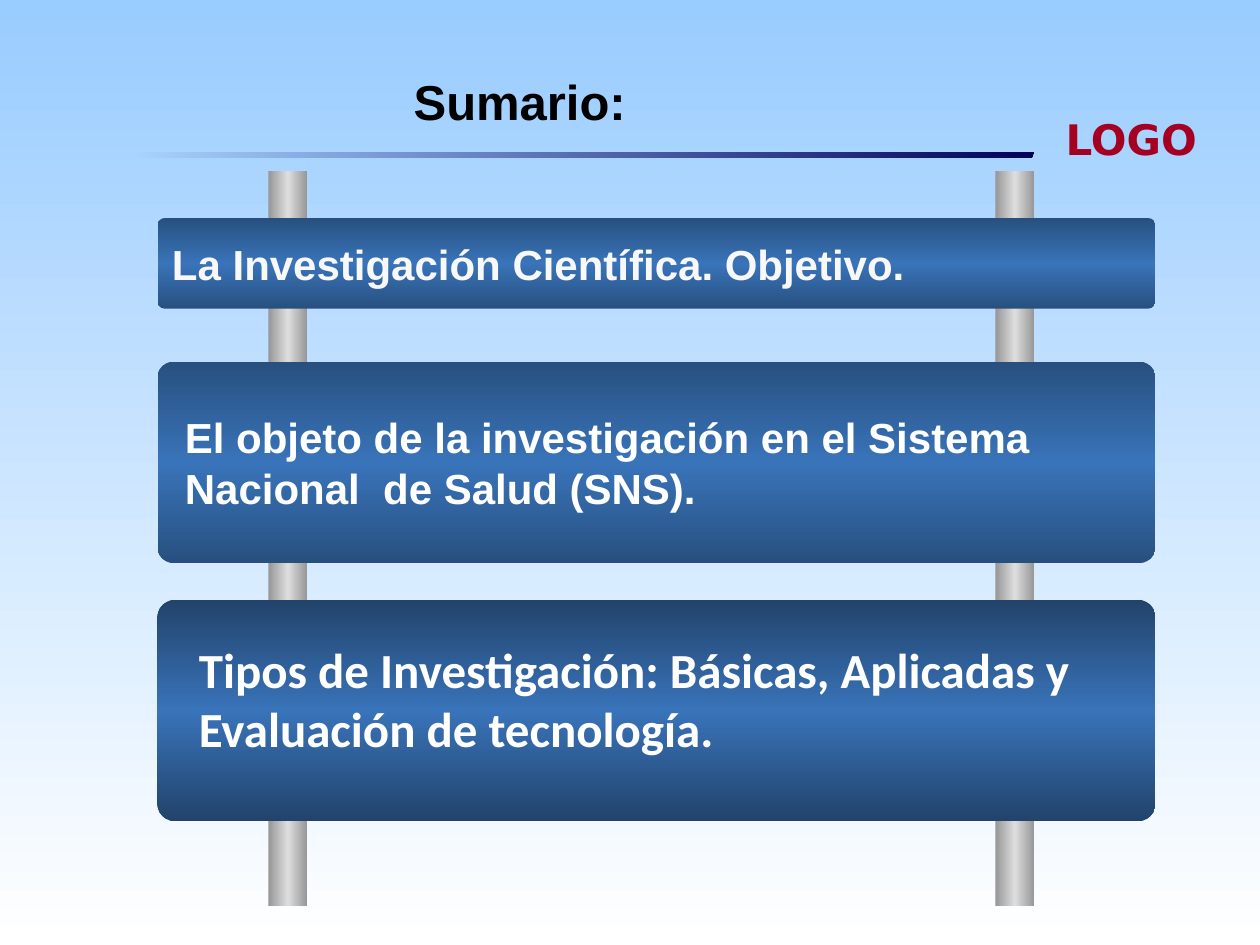
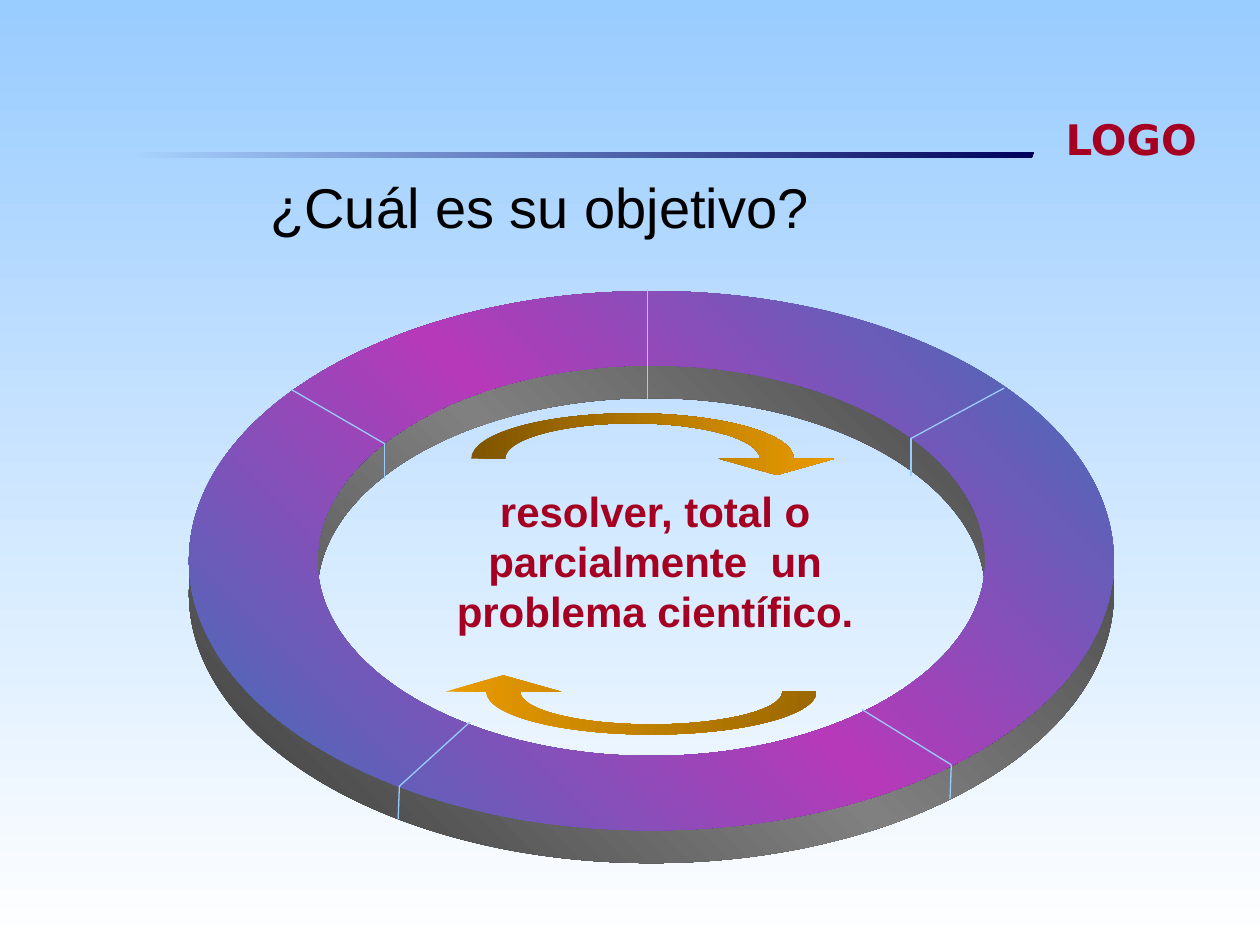
"""Build two slides: a summary on signboards and a ring around the objective."""
import math

import pptx
import pptx.dml.color
import pptx.enum.shapes
import pptx.enum.text
import pptx.oxml
import pptx.oxml.ns
import pptx.util

Inches = pptx.util.Inches
SHAPES = pptx.enum.shapes.MSO_SHAPE
ALIGN = pptx.enum.text.PP_ALIGN
ANCHOR = pptx.enum.text.MSO_ANCHOR
qn = pptx.oxml.ns.qn
DRAWING = pptx.oxml.ns.nsdecls("a")

COLORS = {
    "sky": "99CCFF", "white": "FFFFFF", "navy": "000066", "deep_navy": "00005C",
    "red": "A50021", "black": "000000", "off_white": "F8F8F8",
    "pole_edge": "969696", "pole_shine": "DEDEDE",
    "board": "3973B9", "board_edge": "27507F", "board_dark_edge": "22436B",
    "rim_dark": "3B3B3B", "rim_light": "808080", "magenta": "B639B9",
    "amber": "EA9C00", "brown": "7F5500", "ochre": "9C6800",
}

LOGO = ("LOGO", (8.36, 0.85, 1.41, 0.5))
RULE = [(8.2, 1.21), (1.05, 1.21), (1.11, 1.25), (8.18, 1.25)]

SUMMARY_TITLE = ("Sumario:", (2.29, 0.52, 3.67, 0.57))
POLE_LEFTS = [7.9, 2.13]
BOARD_LEFT, BOARD_WIDTH = 1.25, 7.92
BOARDS = [
    {"top": 1.73, "height": 0.72, "edge": "board_edge", "inset": 0.1, "color": "off_white",
     "lines": ["La Investigación Científica. Objetivo."]},
    {"top": 2.87, "height": 1.6, "edge": "board_edge", "inset": 0.18, "color": "white",
     "lines": ["El objeto de la investigación en el Sistema", "Nacional  de Salud (SNS)."]},
    {"top": 4.76, "height": 1.76, "edge": "board_dark_edge", "inset": 0.1, "color": "white",
     "lines": []},
]
TYPES = ("Tipos de Investigación: Básicas, Aplicadas y Evaluación de tecnología.",
         (1.48, 5.03, 7.4, 1.04))

GOAL_TITLE = ("¿Cuál es su objetivo?", (0.87, 1.32, 6.83, 0.64))
GOAL = ("resolver, total o parcialmente  un problema científico.", (3.17, 3.8, 4.06, 1.31))
RING_X, RING_OUTER, RING_INNER = 5.17, (3.67, 2.14), (2.65, 1.55)
RING_LAYERS = [
    (4.71, ["rim_dark", "rim_light", "rim_dark"]),
    (4.45, ["board", "magenta", "board"]),
]
SEAMS = [
    [(5.14, 3.17), (5.14, 2.29)],
    [(2.31, 3.09), (3.05, 3.52), (3.05, 3.8)],
    [(7.97, 3.08), (7.23, 3.48), (7.23, 3.78)],
    [(3.73, 5.73), (3.17, 6.24), (3.16, 6.5)],
    [(6.84, 5.63), (7.55, 6.07), (7.54, 6.34)],
]
CYCLE_ARROWS = [
    {"center": (5.02, 3.64), "outer": (1.28, 0.36), "turn": 1, "colors": ["brown", "amber"]},
    {"center": (5.17, 5.49), "outer": (1.31, 0.34), "turn": -1, "colors": ["amber", "ochre"]},
]
ARROW_BAND, ARROW_THICKNESS, HEAD_HALF, HEAD_DEPTH = 0.27, 0.08, 0.46, 0.13
QUARTER_PULL = 4 / 3 * (math.sqrt(2) - 1)


def rgb(name):
    return pptx.dml.color.RGBColor.from_string(COLORS[name])


def paint(fill, element, names, angle, fade_start=False):
    fill.gradient()
    fill.gradient_angle = (360 - angle) % 360
    stops = element.find(".//" + qn("a:gsLst"))
    for stop in list(stops):
        stops.remove(stop)
    for index, name in enumerate(names):
        position = round(100000 * index / (len(names) - 1))
        alpha = '<a:alpha val="0"/>' if fade_start and index == 0 else ""
        stops.append(pptx.oxml.parse_xml(
            f'<a:gs {DRAWING} pos="{position}">'
            f'<a:srgbClr val="{COLORS[name]}">{alpha}</a:srgbClr></a:gs>'))


def finish(shape, names, angle, fade_start=False):
    shape.shadow.inherit = False
    shape.line.fill.background()
    paint(shape.fill, shape._element, names, angle, fade_start)
    return shape


def write(frame, lines, size, color, font="Arial", bold=True, align=ALIGN.LEFT):
    frame.word_wrap = True
    for index, line in enumerate(lines):
        paragraph = frame.add_paragraph() if index else frame.paragraphs[0]
        paragraph.alignment = align
        run = paragraph.add_run()
        run.text = line
        run.font.size = pptx.util.Pt(size)
        run.font.name = font
        run.font.bold = bold
        run.font.color.rgb = rgb(color)


def add_label(slide, label, size, color, **style):
    text, place = label
    box = slide.shapes.add_textbox(*map(Inches, place))
    write(box.text_frame, [text], size, color, **style)


def add_block(slide, kind, place, names, angle):
    return finish(slide.shapes.add_shape(kind, *map(Inches, place)), names, angle)


def bend(outline, segments):
    """Turn each three-point segment of the outline into one cubic curve."""
    steps = iter(list(outline._element.iter(qn("a:lnTo"))))
    for segment in segments:
        parts = [next(steps) for _ in segment]
        if len(segment) == 3:
            curve = pptx.oxml.parse_xml(f"<a:cubicBezTo {DRAWING}/>")
            parts[0].addprevious(curve)
            for part in parts:
                curve.append(part[0])
                part.getparent().remove(part)


def add_outline(slide, contours, names, angle, fade_start=False):
    builder = None
    for start, segments in contours:
        origin = tuple(map(Inches, start))
        if builder is None:
            builder = slide.shapes.build_freeform(*origin, scale=1.0)
        else:
            builder.move_to(*origin)
        points = [tuple(map(Inches, point)) for segment in segments for point in segment]
        builder.add_line_segments(points, close=False)
        builder.add_line_segments([], close=True)
    outline = finish(builder.convert_to_shape(), names, angle, fade_start)
    bend(outline, [segment for _, segments in contours for segment in segments])


def arc(center, radii, start, quarters):
    """Return cubic segments for whole quarters, clockwise when positive."""
    way = 1 if quarters > 0 else -1

    def place(degrees, pull):
        angle = math.radians(degrees)
        x = math.cos(angle) - pull * math.sin(angle)
        y = math.sin(angle) + pull * math.cos(angle)
        return center[0] + radii[0] * x, center[1] + radii[1] * y

    corners = [start + 90 * way * index for index in range(abs(quarters) + 1)]
    return [[place(a, way * QUARTER_PULL), place(b, -way * QUARTER_PULL), place(b, 0)]
            for a, b in zip(corners, corners[1:])]


def ellipse(center, radii, quarters):
    return (center[0] + radii[0], center[1]), arc(center, radii, 0, quarters)


def add_cycle_arrow(slide, center, outer, turn, colors):
    inner = (outer[0] - ARROW_BAND, outer[1] - ARROW_THICKNESS)
    middle = (outer[0] + inner[0]) / 2
    half_turn = 0 if turn == 1 else 180
    head = [(middle + HEAD_HALF, 0), (middle, HEAD_DEPTH), (middle - HEAD_HALF, 0),
            (inner[0], 0)]
    segments = arc(center, outer, 180 + half_turn, 2)
    segments += [[(center[0] + turn * x, center[1] + turn * y)] for x, y in head]
    segments += arc(center, inner, half_turn, -2)
    start = (center[0] - turn * outer[0], center[1])
    add_outline(slide, [(start, segments)], colors, 0)


def add_seam(slide, points):
    for start, end in zip(points, points[1:]):
        seam = slide.shapes.add_connector(
            pptx.enum.shapes.MSO_CONNECTOR.STRAIGHT, *map(Inches, start + end))
        seam.line.color.rgb = rgb("sky")
        seam.line.width = pptx.util.Pt(0.75)
        seam._element.spPr.append(pptx.oxml.parse_xml(f"<a:effectLst {DRAWING}/>"))


def start_slide(deck):
    slide = deck.slides.add_slide(deck.slide_layouts[6])
    paint(slide.background.fill, slide._element, ["sky", "white"], 90)
    rule = (RULE[0], [[point] for point in RULE[1:]])
    add_outline(slide, [rule], ["navy", "deep_navy"], 0, fade_start=True)
    add_label(slide, LOGO, 24, "red", font="DejaVu Sans")
    return slide


def build_summary(deck):
    slide = start_slide(deck)
    for left in POLE_LEFTS:
        add_block(slide, SHAPES.RECTANGLE, (left, 1.36, 0.31, 5.83),
                  ["pole_edge", "pole_shine", "pole_edge"], 0)
    for item in BOARDS:
        board = add_block(slide, SHAPES.ROUNDED_RECTANGLE,
                          (BOARD_LEFT, item["top"], BOARD_WIDTH, item["height"]),
                          [item["edge"], "board", item["edge"]], 90)
        board.adjustments[0] = 0.08
        board.text_frame.margin_left = Inches(item["inset"])
        board.text_frame.vertical_anchor = ANCHOR.MIDDLE
        write(board.text_frame, item["lines"], 24, item["color"])
    add_label(slide, TYPES, 28, "white", font="Calibri")
    add_label(slide, SUMMARY_TITLE, 28, "black", align=ALIGN.CENTER)


def build_goal(deck):
    slide = start_slide(deck)
    for middle, names in RING_LAYERS:
        center = (RING_X, middle)
        add_outline(slide, [ellipse(center, RING_OUTER, 4), ellipse(center, RING_INNER, -4)],
                    names, 315)
    for seam in SEAMS:
        add_seam(slide, seam)
    add_label(slide, GOAL, 24, "red", align=ALIGN.CENTER)
    for arrow in CYCLE_ARROWS:
        add_cycle_arrow(slide, **arrow)
    add_label(slide, GOAL_TITLE, 32, "black", bold=False, align=ALIGN.CENTER)


def main():
    deck = pptx.Presentation()
    deck.slide_width, deck.slide_height = Inches(10), Inches(7.5)
    build_summary(deck)
    build_goal(deck)
    deck.save("out.pptx")


if __name__ == "__main__":
    main()
